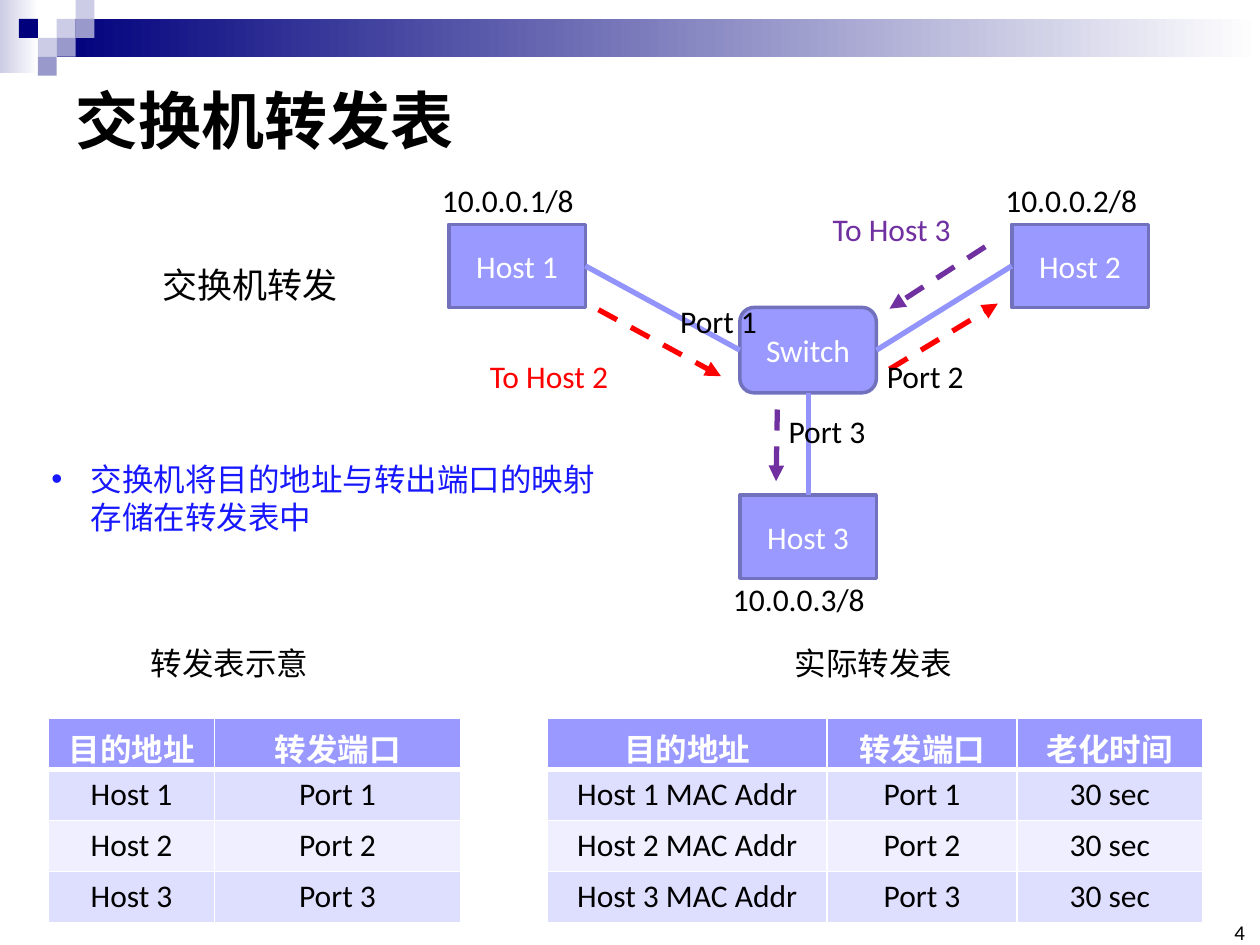
"""Build the slide on the switch forwarding table."""
from dataclasses import dataclass

from lxml.etree import SubElement
from pptx import Presentation
from pptx.dml.color import RGBColor as Rgb
from pptx.enum.dml import MSO_LINE_DASH_STYLE as Dash
from pptx.enum.shapes import MSO_CONNECTOR as Connector, MSO_SHAPE as Shape
from pptx.enum.text import MSO_ANCHOR as Anchor, MSO_AUTO_SIZE as AutoSize, PP_ALIGN as Align
from pptx.oxml.ns import qn
from pptx.util import Pt


@dataclass(frozen=True)
class Theme:
    """Colours, type sizes and font of the slide."""
    font: str = "Calibri"
    title: int = 36
    subtitle: int = 20
    body: int = 18
    number: int = 12
    black: str = "000000"
    white: str = "FFFFFF"
    navy: str = "00007D"
    mist: str = "CCCCE6"
    slate: str = "9999CC"
    accent: str = "9999FF"
    outline: str = "7171BD"
    cable: str = "9393FC"
    note: str = "1818FF"
    red: str = "FF0000"
    purple: str = "7030A0"
    bands: tuple = ("DEDEFF", "EFEFFF")


THEME = Theme()
NODE_W, NODE_H = 78, 47.5
TOP, LEFT, BOTTOM, RIGHT = range(4)


def assign(target, values):
    """Set every attribute listed in values."""
    for name, value in values.items():
        setattr(target, name, value)


def points(*lengths):
    """Turn numbers into point lengths."""
    return [Pt(length) for length in lengths]


def write(frame, text, size=THEME.body, color=THEME.black, bold=False, align=Align.LEFT):
    """Write one formatted paragraph into a text frame."""
    paragraph = frame.paragraphs[0]
    paragraph.alignment = align
    run = paragraph.add_run()
    run.text = text
    assign(run.font, {"name": THEME.font, "size": Pt(size), "bold": bold})
    run.font.color.rgb = Rgb.from_string(color)
    return paragraph


def add_label(slide, text, box, frame_format=None, **text_format):
    """Add a text box, by default on one line and fitted to its text."""
    frame = slide.shapes.add_textbox(*points(*box)).text_frame
    assign(frame, {"word_wrap": False, "auto_size": AutoSize.SHAPE_TO_FIT_TEXT,
                   **(frame_format or {})})
    return write(frame, text, **text_format)


def add_block(slide, box, color, fade=False, kind=Shape.RECTANGLE):
    """Add a borderless block, plain or fading to white."""
    block = slide.shapes.add_shape(kind, *points(*box))
    block.shadow.inherit = False
    block.line.fill.background()
    if fade:
        block.fill.gradient()
        block.fill.gradient_angle = 0
        for stop, shade in zip(block.fill.gradient_stops, (color, THEME.white)):
            stop.color.rgb = Rgb.from_string(shade)
    else:
        block.fill.solid()
        block.fill.fore_color.rgb = Rgb.from_string(color)
    return block


def add_node(slide, text, left, top, height=NODE_H, kind=Shape.RECTANGLE):
    """Add a network node with a centred name."""
    node = add_block(slide, (left, top, NODE_W, height), THEME.accent, kind=kind)
    node.line.color.rgb = Rgb.from_string(THEME.outline)
    node.line.width = Pt(2)
    node.text_frame.vertical_anchor = Anchor.MIDDLE
    write(node.text_frame, text, color=THEME.white, align=Align.CENTER)
    return node


def add_line(slide, color, ends=(0, 0, 0, 0)):
    """Add a straight line without a shadow."""
    line = slide.shapes.add_connector(Connector.STRAIGHT, *points(*ends))
    line.line.color.rgb = Rgb.from_string(color)
    line.line.width = Pt(3)
    SubElement(line._element.spPr, qn("a:effectLst"))
    return line


def add_cable(slide, start, start_side, end, end_side):
    """Join two nodes with a cable."""
    cable = add_line(slide, THEME.cable)
    cable.begin_connect(start, start_side)
    cable.end_connect(end, end_side)


def add_flow(slide, color, ends):
    """Add a dashed arrow for a packet's way."""
    flow = add_line(slide, color, ends)
    flow.line.dash_style = Dash.DASH
    SubElement(flow.line._get_or_add_ln(), qn("a:tailEnd"), type="triangle")


def border_cell(cell, widths):
    """Draw white borders of the given widths on a cell."""
    properties = cell._tc.get_or_add_tcPr()
    for side, width in widths.items():
        border = SubElement(properties, qn(f"a:ln{side}"), w=str(Pt(width)))
        fill = SubElement(border, qn("a:solidFill"))
        SubElement(fill, qn("a:srgbClr"), val=THEME.white)


def add_forwarding_table(slide, left, widths, rows):
    """Add a banded table with a bold heading row."""
    row_height = 29.2
    box = points(left, 410.4, sum(widths), row_height * len(rows))
    table = slide.shapes.add_table(len(rows), len(widths), *box).table
    for column, width in zip(table.columns, widths):
        column.width = Pt(width)
    for r, values in enumerate(rows):
        table.rows[r].height = Pt(row_height)
        heading = r == 0
        shade = THEME.accent if heading else THEME.bands[(r - 1) % 2]
        for c, value in enumerate(values):
            cell = table.cell(r, c)
            border_cell(cell, {"L": 1, "R": 1, "T": 3 if r == 1 else 1, "B": 3 if heading else 1})
            cell.fill.solid()
            cell.fill.fore_color.rgb = Rgb.from_string(shade)
            write(cell.text_frame, value, color=THEME.white if heading else THEME.black,
                  bold=heading, align=Align.CENTER)


def add_header_band(slide):
    """Add the fading band and its mosaic of squares."""
    tile = 10.8
    add_block(slide, (0, 0, 22, 42), THEME.mist, fade=True)
    add_block(slide, (32.4, tile, 687.6, 21.6), THEME.navy, fade=True)
    mosaic = [(3, 1, THEME.mist), (4, 0, THEME.mist), (4, 1, THEME.slate), (2, 2, THEME.mist),
              (1, 1, THEME.navy), (3, 2, THEME.slate), (2, 3, THEME.slate)]
    for column, row, color in mosaic:
        add_block(slide, (column * tile, row * tile, tile, tile), color)


def add_note(slide, text):
    """Add the bulleted remark on the forwarding table."""
    note = add_label(slide, text, (22.3, 259.2, 334.8, 51), {"word_wrap": True}, color=THEME.note)
    properties = note._p.get_or_add_pPr()
    properties.set("marL", str(Pt(22.5)))
    properties.set("indent", str(Pt(-22.5)))
    SubElement(properties, qn("a:buFont"), typeface="Arial")
    SubElement(properties, qn("a:buChar"), char="•")


def add_network(slide):
    """Add the hosts around the switch, with cables, flows and labels."""
    host_1 = add_node(slide, "Host 1", 256.5, 128.2)
    host_2 = add_node(slide, "Host 2", 578.2, 128.2)
    host_3 = add_node(slide, "Host 3", 422.8, 283)
    switch = add_node(slide, "Switch", 422.8, 175.7, 48.8, Shape.ROUNDED_RECTANGLE)
    add_cable(slide, host_1, RIGHT, switch, LEFT)
    add_cable(slide, switch, RIGHT, host_2, LEFT)
    add_cable(slide, switch, BOTTOM, host_3, TOP)
    for color, ends in [(THEME.red, (342, 177, 412, 215)), (THEME.red, (508.3, 211, 570.2, 173.5)),
                        (THEME.purple, (563, 141, 508.3, 176.4)),
                        (THEME.purple, (444.2, 234, 443.5, 275))]:
        add_flow(slide, color, ends)
    for text, left, top, width, color in [
            ("10.0.0.1/8", 245.5, 100.1, 90.7, THEME.black),
            ("10.0.0.2/8", 567.4, 100.1, 90.7, THEME.black),
            ("10.0.0.3/8", 411.8, 327.6, 90.7, THEME.black),
            ("To Host 2", 272.9, 200.2, 82.8, THEME.red),
            ("To Host 3", 468.7, 116.6, 82.8, THEME.purple),
            ("Port 1", 381.6, 169.2, 59, THEME.black),
            ("Port 2", 499.7, 200.2, 59, THEME.black),
            ("Port 3", 443.5, 231.8, 59, THEME.black)]:
        add_label(slide, text, (left, top, width, 29), color=color)


def main():
    """Build and save the slide."""
    deck = Presentation()
    assign(deck, {"slide_width": Pt(720), "slide_height": Pt(540)})
    slide = deck.slides.add_slide(deck.slide_layouts[6])
    add_header_band(slide)
    fixed = {"word_wrap": True, "auto_size": AutoSize.NONE}
    add_label(slide, "交换机转发表", (36, 36, 648, 64), {**fixed, "vertical_anchor": Anchor.MIDDLE},
              size=THEME.title, bold=True)
    flush = dict.fromkeys(("margin_left", "margin_top", "margin_right", "margin_bottom"), 0)
    add_label(slide, "4", (694.8, 527.8, 16.6, 12.2),
              {**fixed, **flush, "vertical_anchor": Anchor.BOTTOM},
              size=THEME.number, align=Align.RIGHT)
    add_label(slide, "交换机转发", (85.7, 146.9, 115.2, 31.5), size=THEME.subtitle)
    for text, left in [("转发表示意", 79.2), ("实际转发表", 447.1)]:
        add_label(slide, text, (left, 364.3, 105.1, 29))
    add_note(slide, "交换机将目的地址与转出端口的映射存储在转发表中")
    numbers = range(1, 4)
    add_forwarding_table(slide, 27.7, (95, 140.4), [
        ("目的地址", "转发端口"), *((f"Host {n}", f"Port {n}") for n in numbers)])
    add_forwarding_table(slide, 312.8, (159.8, 108.7, 105.8), [
        ("目的地址", "转发端口", "老化时间"),
        *((f"Host {n} MAC Addr", f"Port {n}", "30 sec") for n in numbers)])
    add_network(slide)
    deck.save("out.pptx")


main()
